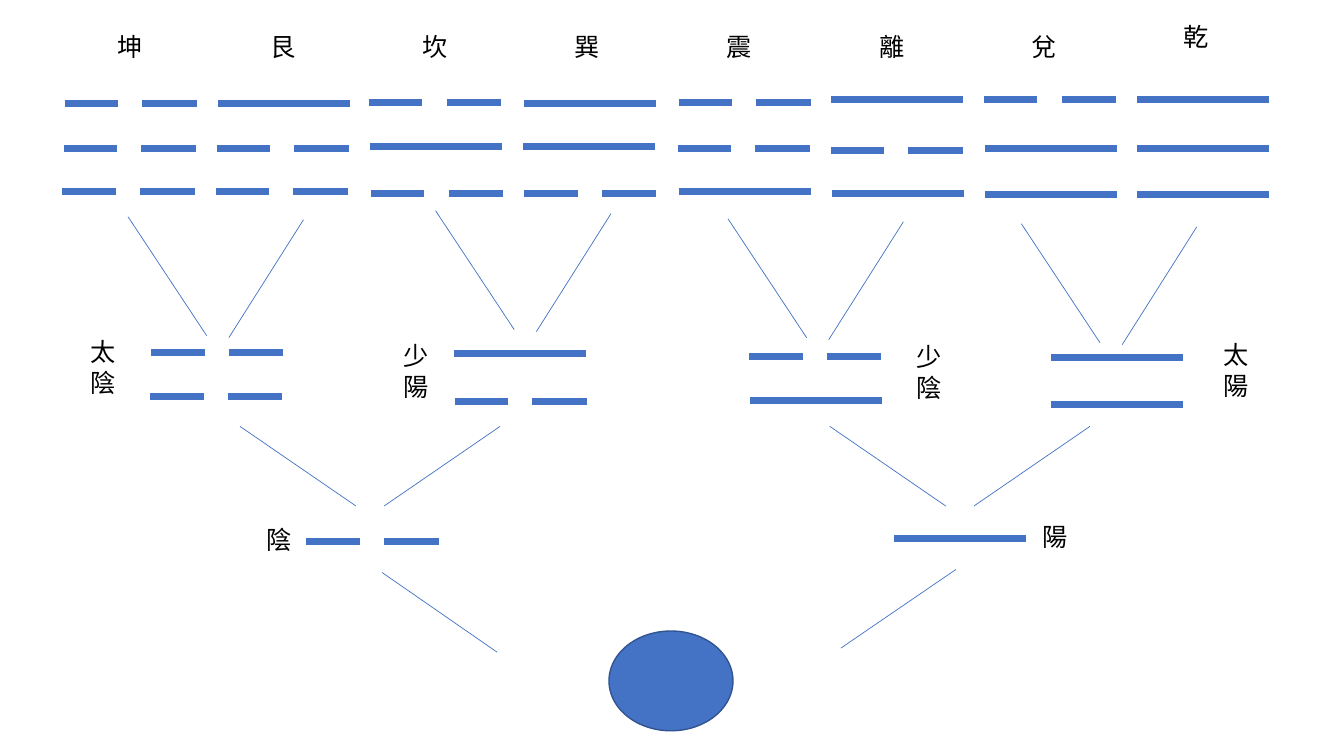
from dataclasses import dataclass

from lxml import etree
from pptx import Presentation
from pptx import util as u
from pptx.dml.color import RGBColor
from pptx.enum import shapes, text
from pptx.oxml.ns import qn


@dataclass(frozen=True)
class Theme:
    blue: RGBColor = RGBColor(0x44, 0x72, 0xC4)
    outline: RGBColor = RGBColor(0x32, 0x54, 0x91)
    ink: RGBColor = RGBColor(0, 0, 0)
    font: str = "Calibri"
    label_size: float = 18
    bar_weight: float = 5
    branch_weight: float = 0.5


THEME = Theme()

# Bars: a yang line is whole, a yin line is two pieces (start, end)
YANG = [(0, 1.31)]
YIN = [(0, 0.53), (0.77, 1.31)]

# Each figure: (left, top, pieces) from the top bar down
TRIGRAMS = {
    "坤": [(0.64, 1.03, YIN), (0.63, 1.47, YIN), (0.62, 1.9, YIN)],
    "艮": [(2.16, 1.03, YANG), (2.15, 1.47, YIN), (2.14, 1.9, YIN)],
    "坎": [(3.66, 1.02, YIN), (3.67, 1.45, YANG), (3.68, 1.92, YIN)],
    "巽": [(5.2, 1.03, YANG), (5.19, 1.45, YANG), (5.2, 1.92, YIN)],
    "震": [(6.73, 1.02, YIN), (6.72, 1.47, YIN), (6.73, 1.9, YANG)],
    "離": [(8.24, 0.99, YANG), (8.24, 1.49, YIN), (8.25, 1.92, YANG)],
    "兌": [(9.76, 0.99, YIN), (9.77, 1.47, YANG), (9.77, 1.93, YANG)],
    "乾": [(11.28, 0.99, YANG), (11.28, 1.47, YANG), (11.28, 1.93, YANG)],
}
TRIGRAM_PITCH = 1.51

# Label, its (left, top, width), and the bars
BIGRAMS = [
    ("太陰", (0.8, 3.29, 0.43), [(1.5, 3.5, YIN), (1.49, 3.93, YIN)]),
    ("少陽", (3.9, 3.33, 0.51), [(4.5, 3.51, YANG), (4.51, 3.98, YIN)]),
    ("少陰", (8.99, 3.34, 0.49), [(7.43, 3.54, YIN), (7.44, 3.97, YANG)]),
    ("太陽", (12.04, 3.32, 0.51), [(10.42, 3.55, YANG), (10.42, 4.01, YANG)]),
]
POLES = [
    ("陰", (2.55, 5.15, 0.43), [(3.04, 5.37, YIN)]),
    ("陽", (10.24, 5.12, 0.43), [(8.87, 5.34, YANG)]),
]

# Forks: two branches as offsets from the foot of the left one
UPPER_FORK = [((0, 0), (-0.78, -1.18)), ((0.22, 0.02), (0.96, -1.15))]
LOWER_FORK = [((0, 0), (-1.15, -0.79)), ((0.28, 0), (1.43, -0.79))]
UPPER_FEET = [(2.05, 3.33), (5.1, 3.27), (8, 3.35), (10.91, 3.4)]
LOWER_FEET = [(3.53, 5.02), (9.38, 5.02)]
ROOTS = [((4.93, 6.47), (3.79, 5.68)), ((8.34, 6.43), (9.48, 5.65))]


def add_line(parent, start, end, weight):
    points = [u.Inches(v) for v in (*start, *end)]
    line = parent.add_connector(shapes.MSO_CONNECTOR.STRAIGHT, *points)
    line.line.color.rgb = THEME.blue
    line.line.width = u.Pt(weight)
    etree.SubElement(line._element.spPr, qn("a:effectLst"))


def add_lines(s, lines, weight):
    """Draw lines, grouped when there is more than one."""
    parent = s.shapes.add_group_shape().shapes if len(lines) > 1 else s.shapes
    for start, end in lines:
        add_line(parent, start, end, weight)


def add_figure(s, bars):
    lines = [((x + a, y), (x + b, y)) for x, y, pieces in bars for a, b in pieces]
    add_lines(s, lines, THEME.bar_weight)


def add_fork(s, foot, branches):
    x, y = foot
    lines = [((x + a, y + b), (x + c, y + d)) for (a, b), (c, d) in branches]
    add_lines(s, lines, THEME.branch_weight)


def add_label(s, words, left, top, width, inset=0.1):
    height = 0.1 + 0.3 * len(words)
    box = s.shapes.add_textbox(*[u.Inches(v) for v in (left, top, width, height)])
    tf = box.text_frame
    tf.word_wrap = True
    tf.auto_size = text.MSO_AUTO_SIZE.SHAPE_TO_FIT_TEXT
    tf.margin_left = tf.margin_right = u.Inches(inset)
    r = tf.paragraphs[0].add_run()
    r.text = words
    r.font.name = THEME.font
    r.font.size = u.Pt(THEME.label_size)
    r.font.color.rgb = THEME.ink


def add_origin(s):
    sp = s.shapes.add_shape(shapes.MSO_SHAPE.OVAL, u.Inches(6.04), u.Inches(6.26),
                            u.Inches(1.23), u.Inches(0.99))
    sp.shadow.inherit = False
    sp.fill.solid()
    sp.fill.fore_color.rgb = THEME.blue
    sp.line.color.rgb = THEME.outline
    sp.line.width = u.Pt(1)


def main():
    prs = Presentation()
    prs.slide_width, prs.slide_height = u.Inches(13.33), u.Inches(7.5)
    s = prs.slides.add_slide(prs.slide_layouts[6])

    # Origin and its two roots
    add_origin(s)
    for start, end in ROOTS:
        add_line(s.shapes, start, end, THEME.branch_weight)

    # Yin and yang, then the four bigrams
    for words, place, bars in POLES + BIGRAMS:
        add_figure(s, bars)
        add_label(s, words, *place)

    # Branches between the levels
    for foot in LOWER_FEET:
        add_fork(s, foot, LOWER_FORK)
    for foot in UPPER_FEET:
        add_fork(s, foot, UPPER_FORK)

    # Eight trigrams; the last name sits a little higher
    for i, (name, bars) in enumerate(TRIGRAMS.items()):
        add_figure(s, bars)
        top = 0.16 if name == "乾" else 0.26
        add_label(s, name, 1.17 + i * TRIGRAM_PITCH, top, 0.27, inset=0)

    prs.save("out.pptx")


if __name__ == "__main__":
    main()
